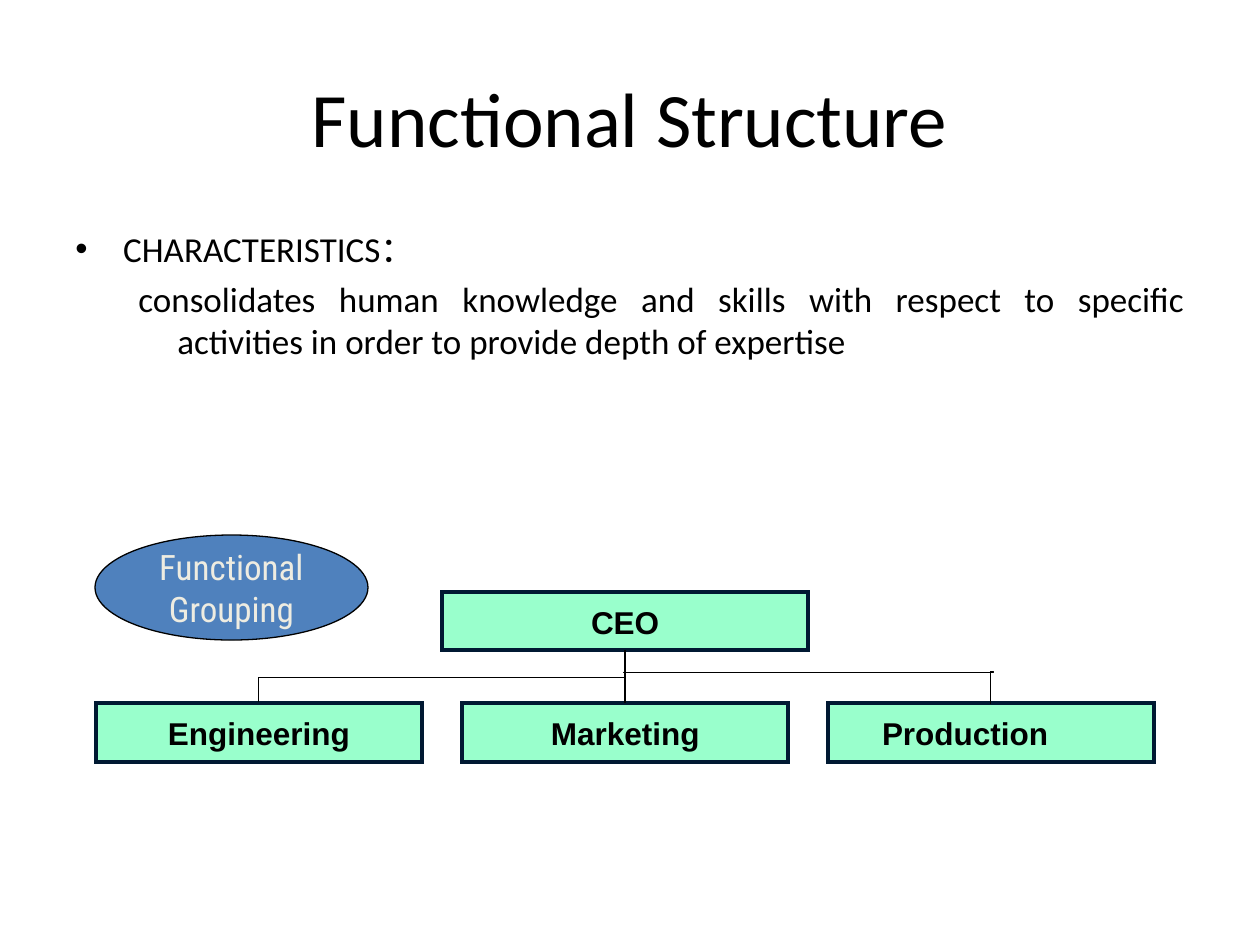
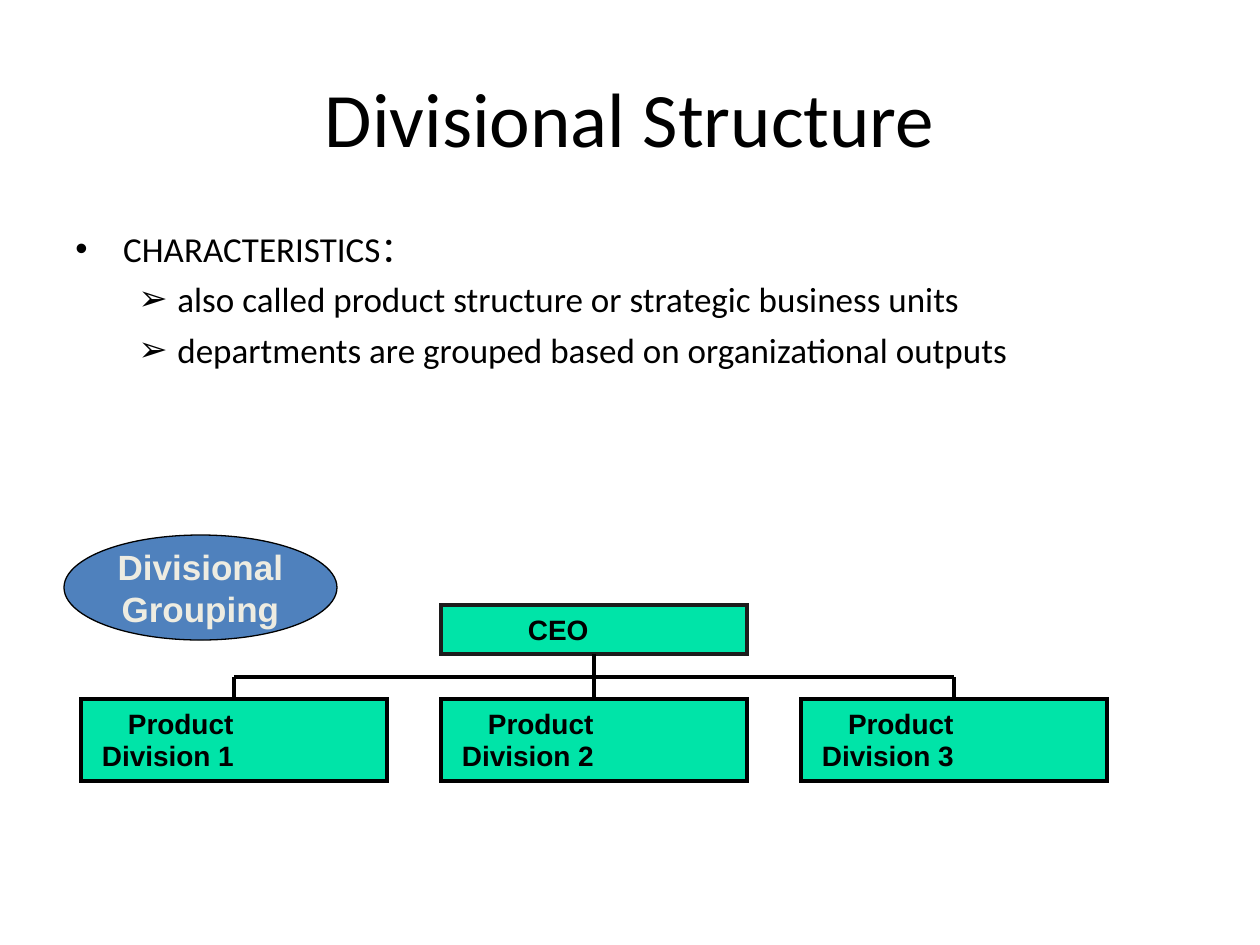
from lxml.etree import SubElement
from pptx import Presentation
from pptx.dml.color import RGBColor
from pptx.enum.shapes import MSO_CONNECTOR, MSO_SHAPE
from pptx.enum.text import MSO_ANCHOR, PP_ALIGN
from pptx.oxml.ns import qn
from pptx.util import Emu, Inches, Pt

# Shared look
BLACK, CREAM, BLUE = "000000", "EEECE1", "4F81BD"
BODY_FONT, CHART_FONT = "Calibri", "Arial"
TITLE = (63, 38, 1134, 158)
TOP, BOTTOM = 0, 2

# Content; body lines are (level, bullet, text), labels are (text, left, top, width)
FUNCTIONAL = dict(
    title="Functional Structure",
    body_height=321, align=PP_ALIGN.JUSTIFY,
    body=[(0, "•", "CHARACTERISTICS："),
          (1, None, "consolidates human knowledge and skills with respect to "
                    "specific activities in order to provide depth of expertise")],
    oval=(95, ["Functional", "Grouping"], "Roboto Condensed", False),
    ceo=(442, 592, 366, 58),
    unit=(96, 703, 326, 59), step=366,
    fill="99FFCC", line=1.87, ceo_line="001932", unit_line="001932",
    size=18, label_height=38,
    labels=[("CEO", 591, 603, 84), ("Engineering", 168, 714, 200),
            ("Marketing", 551, 714, 166), ("Production", 882, 714, 184)],
)
UNIT_LEFT, UNIT_STEP = 81, 360
DIVISIONAL = dict(
    title="Divisional Structure",
    body_height=381, align=PP_ALIGN.LEFT,
    body=[(0, "•", "CHARACTERISTICS："),
          (1, "➢", "also called product structure or strategic business units"),
          (1, "➢", "departments are grouped based on organizational outputs")],
    oval=(64, ["Divisional", "Grouping"], CHART_FONT, True),
    ceo=(441, 605, 306, 49),
    unit=(UNIT_LEFT, 699, 306, 82), step=UNIT_STEP,
    fill="00E4A8", line=2.5, ceo_line="1C1C1C", unit_line=BLACK,
    size=16, label_height=34,
    labels=[("CEO", 528, 613, 76)] + [
        (text, UNIT_LEFT + UNIT_STEP * i + dx, y, w)
        for i in range(3)
        for text, dx, y, w in [("Product", 47, 707, 122),
                               (f"Division {i + 1}", 21, 739, 148)]],
)


def px(*lengths):
    return [Emu(round(v * 914400 / 126)) for v in lengths]


def rgb(color):
    return RGBColor.from_string(color)


def add_run(p, text, size, font, color=BLACK, bold=False):
    r = p.add_run()
    r.text = text
    r.font.size, r.font.name, r.font.bold = Pt(size), font, bold
    r.font.color.rgb = rgb(color)


def add_text(s, box):
    tf = s.shapes.add_textbox(*px(*box)).text_frame
    tf.word_wrap = True
    return tf


def add_box(s, kind, box, fill, line, width):
    sp = s.shapes.add_shape(kind, *px(*box))
    sp.shadow.inherit = False
    sp.fill.solid()
    sp.fill.fore_color.rgb = rgb(fill)
    sp.line.color.rgb = rgb(line)
    sp.line.width = Pt(width)
    # Square corners on the outline
    SubElement(sp._element.spPr.find(qn("a:ln")), qn("a:miter"), lim="800000")
    return sp


def add_line(s, start, end, width, kind=MSO_CONNECTOR.STRAIGHT):
    c = s.shapes.add_connector(kind, *px(*start, *end))
    c.line.color.rgb = rgb(BLACK)
    c.line.width = Pt(width)
    SubElement(c._element.spPr, qn("a:effectLst"))
    return c


def add_elbow(s, box, degrees, preset, adjusts, flip=False):
    """Elbow that leaves vertically, so its frame is turned on its side."""
    x, y, w, h = box
    c = add_line(s, (x, y), (x + w, y + h), 0.75, MSO_CONNECTOR.ELBOW)
    xfrm = c._element.spPr.find(qn("a:xfrm"))
    xfrm.set("rot", str(degrees * 60000))
    if flip:
        xfrm.set("flipH", "1")
    geom = c._element.spPr.find(qn("a:prstGeom"))
    geom.set("prst", preset)
    av = geom.find(qn("a:avLst"))
    if av is None:
        av = SubElement(geom, qn("a:avLst"))
    for i, value in enumerate(adjusts, 1):
        SubElement(av, qn("a:gd"), name=f"adj{i}", fmla=f"val {value}")


def add_heading(s, title):
    tf = add_text(s, TITLE)
    tf.vertical_anchor = MSO_ANCHOR.MIDDLE
    p = tf.paragraphs[0]
    p.alignment = PP_ALIGN.CENTER
    add_run(p, title, 44, BODY_FONT)


def add_body(s, d):
    tf = add_text(s, (63, 221, 1134, d["body_height"]))
    for i, (level, bullet, text) in enumerate(d["body"]):
        p = tf.paragraphs[0] if i == 0 else tf.add_paragraph()
        p.level, p.alignment, p.space_before = level, d["align"], Pt(5)
        left, indent = [(0.38, -0.38), (0.81, -0.31)][level]
        pPr = p._p.get_or_add_pPr()
        pPr.set("marL", str(Inches(left)))
        pPr.set("indent", str(Inches(indent)))
        if bullet:
            SubElement(pPr, qn("a:buFont"), typeface="Arial")
            SubElement(pPr, qn("a:buChar"), char=bullet)
        else:
            SubElement(pPr, qn("a:buNone"))
        add_run(p, text, 20, BODY_FONT)


def add_oval(s, left, lines, font, bold):
    sp = add_box(s, MSO_SHAPE.OVAL, (left, 535, 273, 105), BLUE, BLACK, 0.75)
    tf = sp.text_frame
    tf.word_wrap = False
    tf.vertical_anchor = MSO_ANCHOR.MIDDLE
    for i, text in enumerate(lines):
        p = tf.paragraphs[0] if i == 0 else tf.add_paragraph()
        p.alignment = PP_ALIGN.CENTER
        add_run(p, text, 20, font, CREAM, bold)


def add_label(s, text, x, y, w, h, size):
    tf = add_text(s, (x, y, w, h))
    tf.margin_left = tf.margin_right = tf.margin_top = tf.margin_bottom = 0
    add_run(tf.paragraphs[0], text, size, CHART_FONT, BLACK, True)


def add_structure(prs, d):
    """Title, body and organisation boxes; returns what connectors need."""
    s = prs.slides.add_slide(prs.slide_layouts[6])
    add_heading(s, d["title"])
    add_body(s, d)
    add_oval(s, *d["oval"])
    rect = MSO_SHAPE.RECTANGLE
    ceo = add_box(s, rect, d["ceo"], d["fill"], d["ceo_line"], d["line"])
    x, y, w, h = d["unit"]
    units = [add_box(s, rect, (x + i * d["step"], y, w, h),
                     d["fill"], d["unit_line"], d["line"]) for i in range(3)]
    for text, lx, ly, lw in d["labels"]:
        add_label(s, text, lx, ly, lw, d["label_height"], d["size"])
    return s, ceo, units


def main():
    prs = Presentation()
    prs.slide_width, prs.slide_height = px(1260, 945)

    # Functional: straight line to the middle unit, elbows to the outer ones
    s, ceo, units = add_structure(prs, FUNCTIONAL)
    c = add_line(s, (625, 650), (625, 703), 0.75)
    c.begin_connect(ceo, BOTTOM)
    c.end_connect(units[1], TOP)
    add_elbow(s, (416, 494, 51, 366), 90, "bentConnector3", [51500])
    add_elbow(s, (791, 504, 32, 367), 270, "bentConnector5",
              [4100, 100900, 0], flip=True)

    # Divisional: trunk, crossbar and one drop to each unit
    s, ceo, units = add_structure(prs, DIVISIONAL)
    x, top, w, _ = DIVISIONAL["unit"]
    centers = [x + w // 2 + i * DIVISIONAL["step"] for i in range(3)]
    bar = 677
    trunk = add_line(s, (centers[1], 654), (centers[1], bar), 2.5)
    trunk.begin_connect(ceo, BOTTOM)
    for a, b in zip(centers, centers[1:]):
        add_line(s, (a, bar), (b, bar), 2.5)
    for center, unit in zip(centers, units):
        add_line(s, (center, bar), (center, top), 2.5).end_connect(unit, TOP)

    prs.save("out.pptx")


if __name__ == "__main__":
    main()
